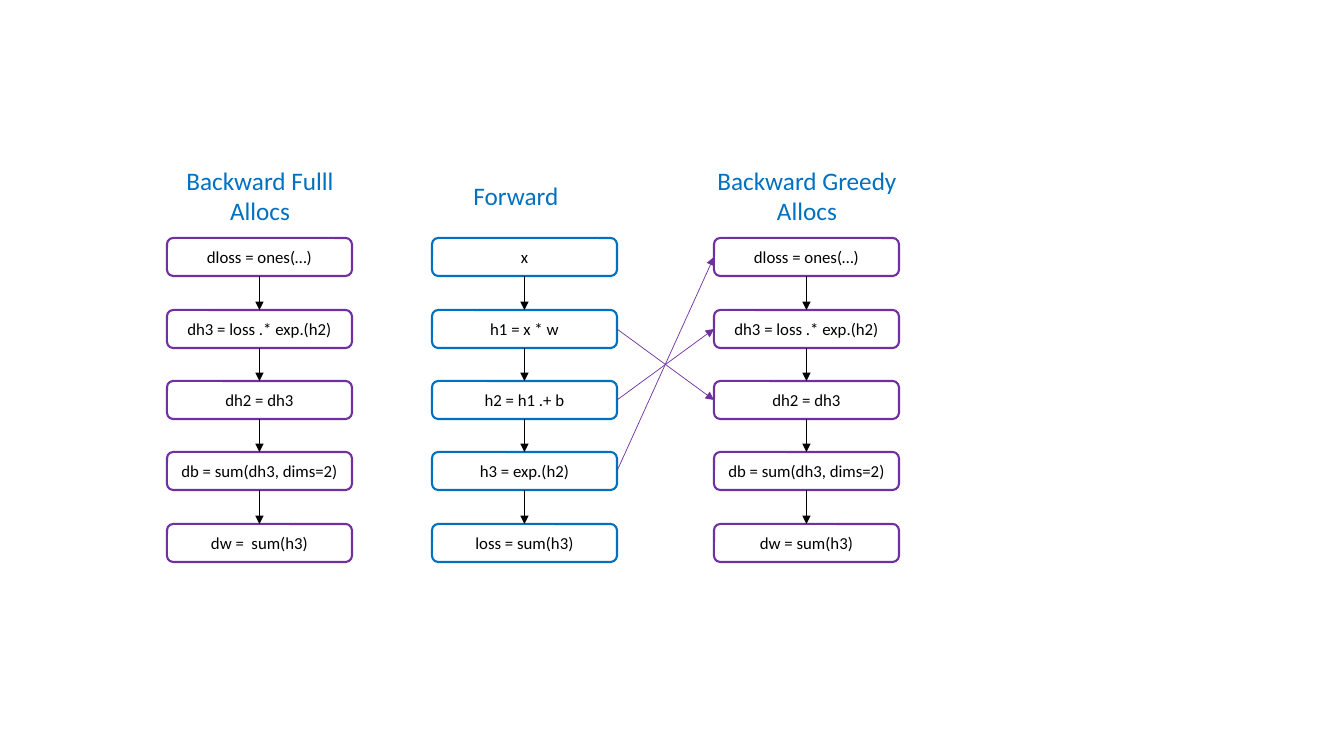
from dataclasses import dataclass
from itertools import pairwise

from lxml.etree import SubElement
from pptx import Presentation
from pptx.dml.color import RGBColor
from pptx.enum.shapes import MSO_CONNECTOR, MSO_SHAPE
from pptx.enum.text import MSO_ANCHOR, MSO_AUTO_SIZE, PP_ALIGN
from pptx.oxml.ns import qn
from pptx.util import Emu, Pt


@dataclass(frozen=True)
class Theme:
    font: str = "Calibri"
    title_size: float = 18
    step_size: float = 12
    box_line: float = 1.5
    arrow_line: float = 0.5
    blue: RGBColor = RGBColor(0x00, 0x70, 0xC0)
    purple: RGBColor = RGBColor(0x70, 0x30, 0xA0)
    black: RGBColor = RGBColor(0, 0, 0)


@dataclass(frozen=True)
class Box:
    left: int
    top: int
    width: int
    height: int

    def emu(self):
        return [px(n) for n in (self.left, self.top, self.width, self.height)]


THEME = Theme()
PIXELS_PER_INCH = 100.8
STEP_HEIGHT = 38

# Connection sites of a rounded rectangle
TOP, LEFT, BOTTOM, RIGHT = range(4)


def px(pixels):
    return Emu(round(pixels * 914400 / PIXELS_PER_INCH))


def write(shape, text, size, color):
    frame = shape.text_frame
    frame.word_wrap = True
    frame.text = text
    para = frame.paragraphs[0]
    para.alignment = PP_ALIGN.CENTER
    span = para.runs[0]
    span.font.name = THEME.font
    span.font.size = Pt(size)
    span.font.color.rgb = color


def add_title(page, box, text):
    title = page.shapes.add_textbox(*box.emu())
    write(title, text, THEME.title_size, THEME.blue)
    title.text_frame.auto_size = MSO_AUTO_SIZE.SHAPE_TO_FIT_TEXT


def add_step(page, box, text, color):
    step = page.shapes.add_shape(MSO_SHAPE.ROUNDED_RECTANGLE, *box.emu())
    step.shadow.inherit = False
    step.fill.background()
    step.line.color.rgb = color
    step.line.width = Pt(THEME.box_line)
    write(step, text, THEME.step_size, THEME.black)
    step.text_frame.vertical_anchor = MSO_ANCHOR.MIDDLE
    return step


def add_arrow(page, start, start_site, end, end_site, color):
    arrow = page.shapes.add_connector(MSO_CONNECTOR.STRAIGHT, 0, 0, 0, 0)
    arrow.begin_connect(start, start_site)
    arrow.end_connect(end, end_site)
    arrow.line.color.rgb = color
    arrow.line.width = Pt(THEME.arrow_line)
    # Arrowhead, then no shadow
    properties = arrow.element.spPr
    SubElement(properties.find(qn("a:ln")), qn("a:tailEnd"), type="triangle")
    SubElement(properties, qn("a:effectLst"))


def add_chain(page, box, texts, color):
    """Spread the steps evenly down the box and link each to the next."""
    pitch = (box.height - STEP_HEIGHT) / (len(texts) - 1)
    steps = [
        add_step(page, Box(box.left, box.top + round(row * pitch),
                           box.width, STEP_HEIGHT), text, color)
        for row, text in enumerate(texts)
    ]
    for upper, lower in pairwise(steps):
        add_arrow(page, upper, BOTTOM, lower, TOP, THEME.black)
    return steps


def add_column(page, box, title, title_box, texts, color):
    """Place a title, given relative to the column, above its chain."""
    add_title(page, Box(box.left + title_box.left, box.top + title_box.top,
                        title_box.width, title_box.height), title)
    return add_chain(page, box, texts, color)


def add_crossings(page, forward, greedy):
    """Link forward steps to the backward steps that reuse their memory."""
    for source, target in ((3, 0), (2, 1), (1, 2)):
        add_arrow(page, forward[source], RIGHT, greedy[target], LEFT,
                  THEME.purple)


def build_page(page, box):
    backward = ["dloss = ones(…)", "dh3 = loss .* exp.(h2)", "dh2 = dh3",
                "db = sum(dh3, dims=2)"]
    two_lines = Box(-8, -78, 202, 71)
    one_line = Box(-17, -63, 202, 40)

    def column(offset):
        return Box(box.left + offset, box.top, 185, box.height)

    # Forward pass in the middle
    forward = add_column(
        page, column(265), "Forward", one_line,
        ["x", "h1 = x * w", "h2 = h1 .+ b", "h3 = exp.(h2)", "loss = sum(h3)"],
        THEME.blue)

    # Backward passes on either side
    add_column(page, column(0), "Backward Fulll Allocs", two_lines,
               backward + ["dw =  sum(h3)"], THEME.purple)
    greedy = add_column(page, column(547), "Backward Greedy Allocs", two_lines,
                        backward + ["dw = sum(h3)"], THEME.purple)

    add_crossings(page, forward, greedy)


deck = Presentation()
deck.slide_width, deck.slide_height = px(1344), px(756)
blank = deck.slide_layouts[6]
build_page(deck.slides.add_slide(blank), Box(167, 238, 732, 324))
deck.save("out.pptx")
